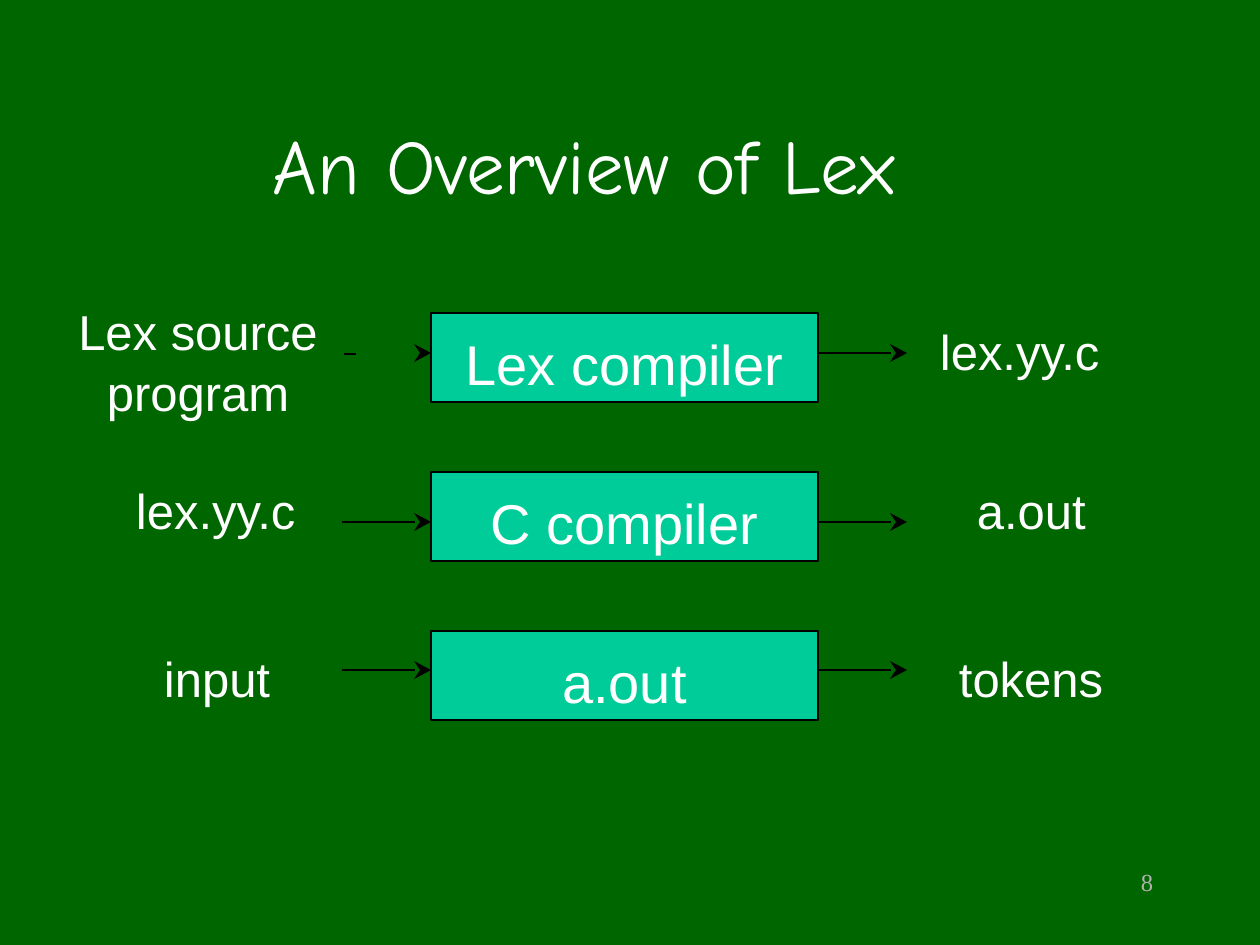
from pptx import Presentation
from pptx.dml.color import RGBColor
from pptx.enum.shapes import MSO_CONNECTOR, MSO_SHAPE
from pptx.enum.text import MSO_ANCHOR, MSO_AUTO_SIZE, PP_ALIGN
from pptx.oxml.ns import qn
from pptx.util import Pt
from lxml.etree import SubElement

GREEN = RGBColor(0x00, 0x66, 0x00)
TEAL = RGBColor(0x00, 0xCC, 0x99)
WHITE = RGBColor(0xFF, 0xFF, 0xFF)
BLACK = RGBColor(0x00, 0x00, 0x00)
GREY = RGBColor(0xB1, 0xB1, 0xB1)
SCALE = 914400 / 126


def px(*nums):
    return [round(n * SCALE) for n in nums]


def apply(item, vals):
    for key, val in vals.items():
        setattr(item, key, val)


class Deck:
    frame = dict(margin_left=0, margin_top=0, margin_right=0, margin_bottom=0,
                 word_wrap=False, auto_size=MSO_AUTO_SIZE.NONE,
                 vertical_anchor=MSO_ANCHOR.TOP)

    def __init__(self, slide):
        self.slide = slide
        self.shapes = slide.shapes

    def fill(self, item, color):
        item.fill.solid()
        item.fill.fore_color.rgb = color

    def text(self, shape, words, size, font="Arial", color=WHITE,
             align=PP_ALIGN.LEFT, top=0, para=None):
        frame = shape.text_frame
        apply(frame, self.frame | dict(margin_top=px(top)[0]))
        frame.text = words
        for part in frame.paragraphs:
            apply(part, dict(alignment=align) | (para or {}))
            for run in part.runs:
                apply(run.font, dict(name=font, size=Pt(size), bold=False))
                run.font.color.rgb = color

    def title(self, words, *area):
        shape = self.shapes.title
        apply(shape, dict(zip(("left", "top", "width", "height"), px(*area))))
        self.text(shape, words, 44, "Comic Neue", top=3)

    def label(self, words, area, size=28, **style):
        self.text(self.shapes.add_textbox(*px(*area)), words, size, **style)

    def box(self, words, *area):
        shape = self.shapes.add_shape(MSO_SHAPE.RECTANGLE, *px(*area))
        shape.shadow.inherit = False
        self.fill(shape, TEAL)
        shape.line.color.rgb = BLACK
        shape.line.width = Pt(0.75)
        self.text(shape, words, 32, align=PP_ALIGN.CENTER, top=17)

    def line(self, left, right, y, width=0.7):
        shape = self.shapes.add_connector(
            MSO_CONNECTOR.STRAIGHT, *px(left, y, right, y))
        shape.line.color.rgb = BLACK
        shape.line.width = Pt(width)
        SubElement(shape._element.spPr, qn("a:effectLst"))

    def head(self, tip, y):
        form = self.shapes.build_freeform(tip - 17, y - 9, SCALE)
        form.add_line_segments([(tip - 11, y), (tip - 17, y + 9), (tip, y)])
        shape = form.convert_to_shape()
        shape.shadow.inherit = False
        self.fill(shape, BLACK)
        shape.line.fill.background()


def main():
    deck = Presentation()
    deck.slide_width, deck.slide_height = px(1260, 945)
    page = Deck(deck.slides.add_slide(deck.slide_layouts[5]))
    page.fill(page.slide.background, GREEN)
    page.title("An Overview of Lex", 273, 115, 711, 96)

    names = ("Lex compiler", "C compiler", "a.out")
    for row, name in enumerate(names):
        page.box(name, 431, 313 + 159 * row, 387, 89)

    page.label("Lex source\nprogram", (77, 299, 242, 121), top=3,
               align=PP_ALIGN.CENTER, para=dict(space_before=Pt(1)))
    labels = (("lex.yy.c", 136, 478), ("input", 164, 646),
              ("lex.yy.c", 940, 319), ("a.out", 977, 478),
              ("tokens", 959, 646))
    for words, left, top in labels:
        page.label(words, (left, top, 166, 62), top=3)

    for y in (353, 522, 670):
        for start, tip in ((342, 431), (819, 907)):
            if (start, y) == (342, 353):
                page.line(344, 356, 354, 1.2)
            else:
                page.line(start, tip - 16, y)
            page.head(tip, y)

    page.label("8", (1141, 868, 16, 30), 14, font="Times New Roman",
               color=GREY, para=dict(line_spacing=Pt(16.3)))
    deck.save("out.pptx")


if __name__ == "__main__":
    main()
